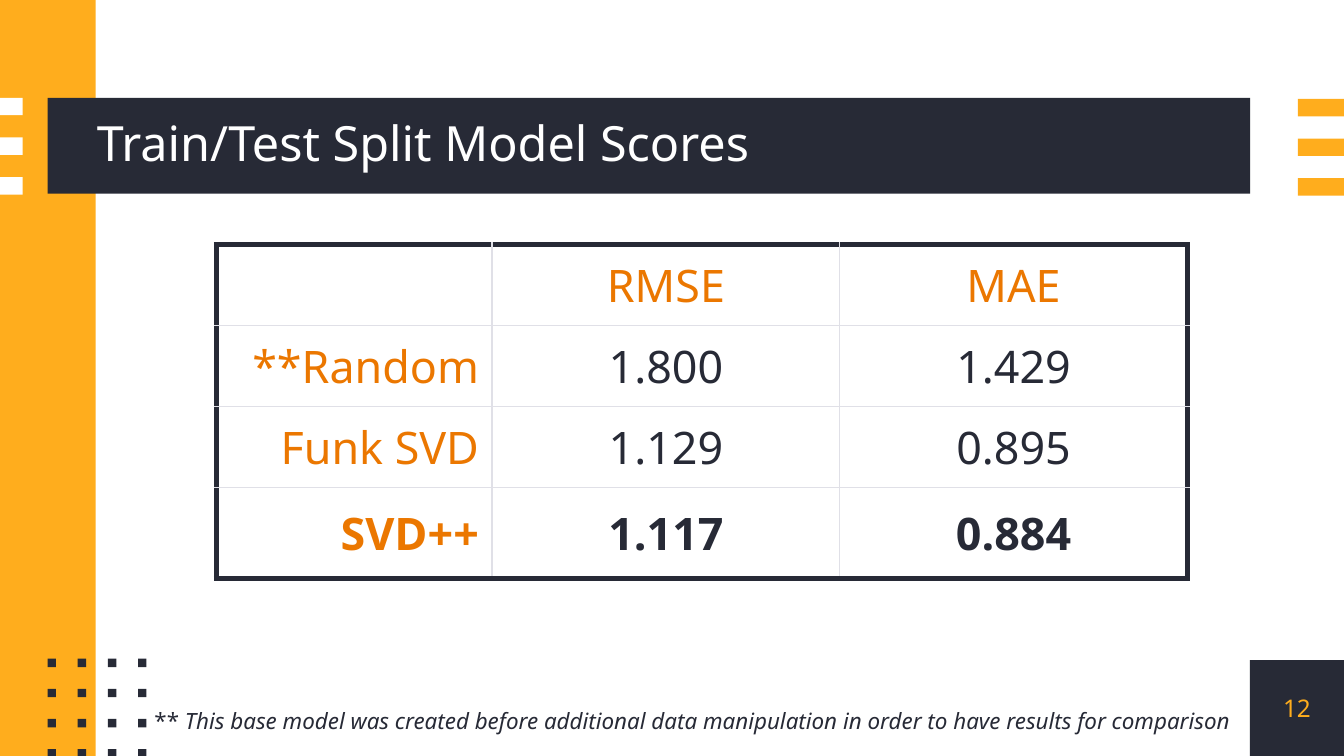
from dataclasses import dataclass

from lxml import etree
from pptx import Presentation
from pptx.dml.color import RGBColor
from pptx.enum.shapes import MSO_SHAPE
from pptx.enum.text import MSO_ANCHOR, PP_ALIGN
from pptx.oxml.ns import qn
from pptx.util import Cm, Pt

RECTANGLE = MSO_SHAPE.RECTANGLE
LEFT, CENTER, RIGHT = PP_ALIGN.LEFT, PP_ALIGN.CENTER, PP_ALIGN.RIGHT
TOP, MIDDLE = MSO_ANCHOR.TOP, MSO_ANCHOR.MIDDLE


@dataclass(frozen=True)
class Theme:
    """Colours, font and type sizes of the slide."""
    dark: str = "272A36"
    yellow: str = "FFAD1D"
    orange: str = "EB7700"
    white: str = "FFFFFF"
    grid: str = "E0E0E7"
    font: str = "Noto Sans"
    title: int = 26
    table: int = 24
    number: int = 13
    note: int = 12


THEME = Theme()

TITLE = "Train/Test Split Model Scores"
SCORES = [
    ("", "RMSE", "MAE"),
    ("**Random", "1.800", "1.429"),
    ("Funk SVD", "1.129", "0.895"),
    ("SVD++", "1.117", "0.884"),
]
NOTE = ["** ", "This base model was created before additional data manipulation "
        "in order to have results for comparison"]
PAGE_NUMBER = "12"

# Boxes in centimetres: left, top, width, height
SLIDE_WIDTH, SLIDE_HEIGHT = 25.4, 14.29
SIDE_BAND = (0, 0, 1.81, SLIDE_HEIGHT)
TITLE_BAR = (0.9, 1.85, 22.73, 1.81)
TITLE_BOX = (1.83, 1.85, 21.79, 1.81)
NUMBER_BOX = (23.62, 12.48, 1.78, 1.81)
NOTE_BOX = (2.92, 13.3, 20.7, 0.99)
STRIPES = [(0, 1.85, 0.43, THEME.white), (24.53, 1.87, 0.87, THEME.yellow)]
STRIPE_COUNT, STRIPE_PITCH, STRIPE_HEIGHT = 3, 0.75, 0.33
DOT_LEFT, DOT_TOP, DOT_PITCH, DOT_SIZE, DOT_COUNT = 0.9, 12.45, 0.57, 0.16, 4
TABLE_LEFT, TABLE_TOP = 4.09, 4.63
COLUMN_WIDTHS = (5.21, 6.57, 6.57)
ROW_HEIGHTS = (1.53, 1.53, 1.53, 1.71)


def add_rectangle(slide, box, color):
    """Draw a plain filled rectangle."""
    shape = slide.shapes.add_shape(RECTANGLE, *map(Cm, box))
    shape.shadow.inherit = False
    shape.fill.solid()
    shape.fill.fore_color.rgb = RGBColor.from_string(color)
    shape.line.fill.background()


def format_run(run, size, color, bold=False, italic=False):
    """Apply the theme font to a run."""
    run.font.name = THEME.font
    run.font.size = Pt(size)
    run.font.bold = bold
    run.font.italic = italic
    run.font.color.rgb = RGBColor.from_string(color)


def add_text(slide, box, texts, size, color, align=LEFT, anchor=MIDDLE, spacing=1.0):
    """Add a one-paragraph text box without margins; runs after the first are italic."""
    frame = slide.shapes.add_textbox(*map(Cm, box)).text_frame
    frame.word_wrap = True
    frame.vertical_anchor = anchor
    frame.margin_left = frame.margin_right = frame.margin_top = frame.margin_bottom = 0
    paragraph = frame.paragraphs[0]
    paragraph.alignment = align
    paragraph.line_spacing = spacing
    for index, text in enumerate(texts):
        run = paragraph.add_run()
        run.text = text
        format_run(run, size, color, italic=index > 0)
    return paragraph


def set_borders(cell, outer_edges):
    """Give a cell thick dark outer edges and thin inner grid lines."""
    properties = cell._tc.get_or_add_tcPr()
    for index, edge in enumerate("LRTB"):
        color, width = (THEME.dark, 3) if edge in outer_edges else (THEME.grid, 0.75)
        line = etree.Element(qn(f"a:ln{edge}"), w=str(Pt(width)))
        fill = etree.SubElement(line, qn("a:solidFill"))
        etree.SubElement(fill, qn("a:srgbClr"), val=color)
        properties.insert(index, line)


def add_score_table(slide):
    """Add the table of scores; the last row is bold."""
    last_row, last_column = len(SCORES) - 1, len(COLUMN_WIDTHS) - 1
    table = slide.shapes.add_table(
        len(SCORES), len(COLUMN_WIDTHS), Cm(TABLE_LEFT), Cm(TABLE_TOP),
        Cm(sum(COLUMN_WIDTHS)), Cm(sum(ROW_HEIGHTS))).table
    table.first_row = table.horz_banding = False
    for column, width in zip(table.columns, COLUMN_WIDTHS):
        column.width = Cm(width)
    for row, height in zip(table.rows, ROW_HEIGHTS):
        row.height = Cm(height)
    for r, values in enumerate(SCORES):
        for c, value in enumerate(values):
            cell = table.cell(r, c)
            cell.fill.background()
            cell.vertical_anchor = MIDDLE
            cell.margin_left = cell.margin_right = Cm(0.25)
            cell.margin_top = cell.margin_bottom = Cm(0.18)
            outer = {"L": c == 0, "R": c == last_column, "T": r == 0, "B": r == last_row}
            set_borders(cell, [edge for edge, is_outer in outer.items() if is_outer])
            if not value:
                continue
            cell.text_frame.text = value
            paragraph = cell.text_frame.paragraphs[0]
            paragraph.alignment = RIGHT if c == 0 else CENTER
            color = THEME.orange if r == 0 or c == 0 else THEME.dark
            format_run(paragraph.runs[0], THEME.table, color, bold=r == last_row)


def add_decoration(slide):
    """Draw the bands, the edge stripes and the grid of dots."""
    add_rectangle(slide, NUMBER_BOX, THEME.dark)
    add_rectangle(slide, SIDE_BAND, THEME.yellow)
    add_rectangle(slide, TITLE_BAR, THEME.dark)
    for left, top, width, color in STRIPES:
        for index in range(STRIPE_COUNT):
            box = (left, top + index * STRIPE_PITCH, width, STRIPE_HEIGHT)
            add_rectangle(slide, box, color)
    for index in range(DOT_COUNT ** 2):
        row, column = divmod(index, DOT_COUNT)
        box = (DOT_LEFT + column * DOT_PITCH, DOT_TOP + row * DOT_PITCH, DOT_SIZE, DOT_SIZE)
        add_rectangle(slide, box, THEME.dark)


def main():
    """Build and save the slide."""
    presentation = Presentation()
    presentation.slide_width, presentation.slide_height = Cm(SLIDE_WIDTH), Cm(SLIDE_HEIGHT)
    slide = presentation.slides.add_slide(presentation.slide_layouts[6])
    add_decoration(slide)
    add_text(slide, TITLE_BOX, [TITLE], THEME.title, THEME.white, spacing=0.9)
    add_score_table(slide)
    add_text(slide, NUMBER_BOX, [PAGE_NUMBER], THEME.number, THEME.yellow, align=CENTER)
    note = add_text(slide, NOTE_BOX, NOTE, THEME.note, THEME.dark, anchor=TOP, spacing=1.15)
    note.space_before = Pt(6)
    presentation.save("out.pptx")


main()
